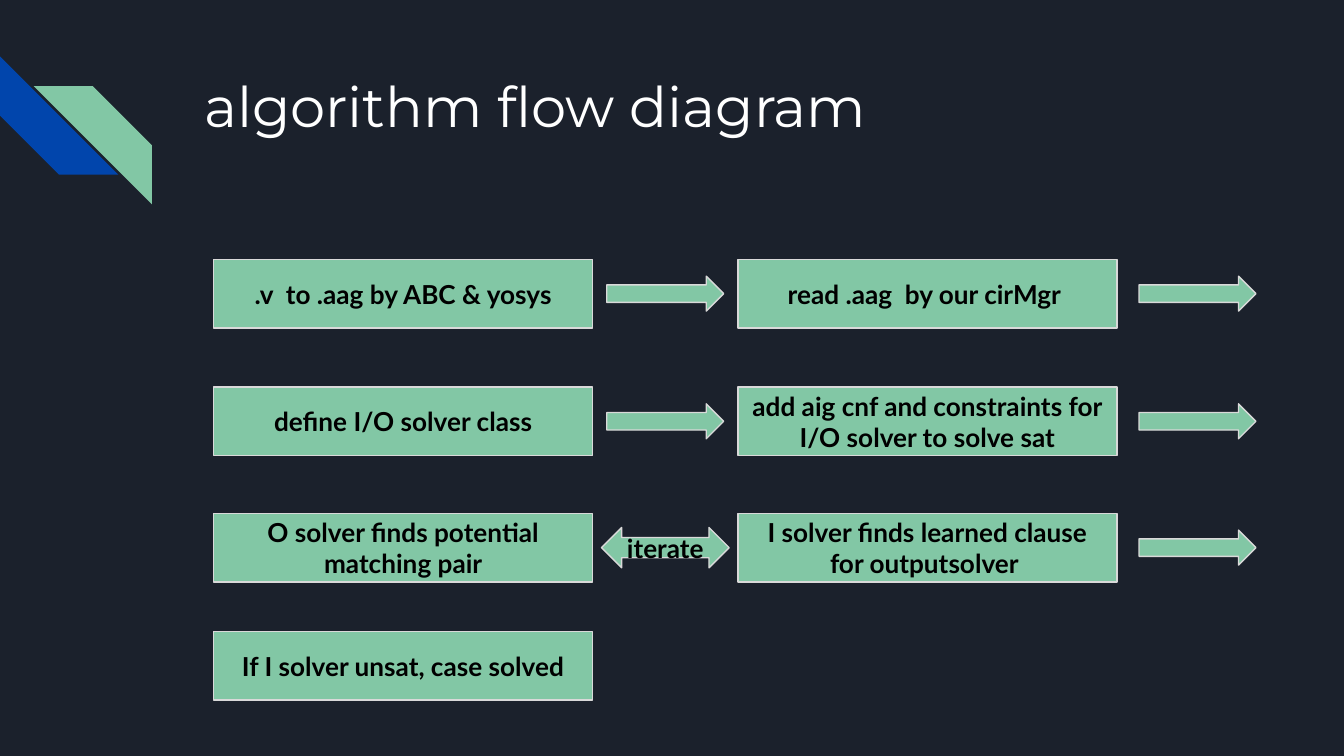
import pptx
import pptx.util
import pptx.dml.color
import pptx.enum.shapes
import pptx.enum.text

KIND = pptx.enum.shapes.MSO_SHAPE
ALIGN = pptx.enum.text.PP_ALIGN
ANCHOR = pptx.enum.text.MSO_ANCHOR
INCH = pptx.util.Inches

TITLE = "algorithm flow diagram"
# Each row: top of its boxes, then left step, link, right step, onward link
ROWS = [
    (1.93, ".v  to .aag by ABC & yosys", "next", "read .aag  by our cirMgr ", "next"),
    (2.88, "define I/O solver class", "next",
     "add aig cnf and constraints for I/O solver to solve sat", "next"),
    (3.82, "O solver finds potential matching pair", "iterate",
     "I solver finds learned clause for outputsolver ", "next"),
    (4.70, "If I solver unsat, case solved"),
]
STRIPES = [(0, 0.42, 270, "0145AC"), (0.25, 0.64, 90, "82C7A5")]

NIGHT, MINT, EDGE = "1B212C", "82C7A5", "D9D9D9"
WIDE = INCH(10)
HIGH = WIDE * 9 // 16
LEFT, PITCH = 1.59, 3.9       # first column, and step from pair to pair
BOX_W, BOX_H = 2.82, 0.51
LINKS = {                     # kind, width, height, label
    "next": (KIND.RIGHT_ARROW, 0.87, 0.26, ""),
    "iterate": (KIND.LEFT_RIGHT_ARROW, 0.95, 0.3, "iterate"),
}
LINK_MID = [4.95, 8.91]       # centre of each link column

LABEL = {"size": pptx.util.Pt(14), "name": "Lato", "bold": True}
HEAD = {"size": pptx.util.Pt(30), "name": "Montserrat", "bold": False}


def paint(color, code):
    color.rgb = pptx.dml.color.RGBColor.from_string(code)


def style(obj, form):
    for key, value in form.items():
        setattr(obj, key, value)


def write(shape, text, form, code, align, anchor):
    frame = shape.text_frame
    style(frame, {"word_wrap": True, "vertical_anchor": anchor,
                  "auto_size": pptx.enum.text.MSO_AUTO_SIZE.NONE})
    style(frame, {"margin_" + side: INCH(0.1)
                  for side in ("left", "right", "top", "bottom")})
    para = frame.paragraphs[0]
    para.alignment = align
    run = para.add_run()
    run.text = text
    style(run.font, form)
    paint(run.font.color, code)


def draw(slide, kind, spot, fill, line=None):
    shape = slide.shapes.add_shape(kind, *map(INCH, spot))
    shape.shadow.inherit = False
    shape.fill.solid()
    paint(shape.fill.fore_color, fill)
    if line:
        paint(shape.line.color, line)
        shape.line.width = pptx.util.Pt(0.75)
    else:
        shape.line.fill.background()
    return shape


def node(slide, kind, spot, text):
    shape = draw(slide, kind, spot, MINT, EDGE)
    if text:
        write(shape, text, LABEL, "000000", ALIGN.CENTER, ANCHOR.MIDDLE)


def main():
    deck = pptx.Presentation()
    style(deck, {"slide_width": WIDE, "slide_height": HIGH})
    slide = deck.slides.add_slide(deck.slide_layouts[5])
    slide.background.fill.solid()
    paint(slide.background.fill.fore_color, NIGHT)

    for x, y, turn, fill in STRIPES:
        draw(slide, KIND.DIAGONAL_STRIPE, (x, y, 0.88, 0.88), fill).rotation = turn

    title = slide.shapes.title
    style(title, {"left": INCH(1.42), "top": INCH(0.43),
                  "width": INCH(7.7), "height": INCH(1)})
    write(title, TITLE, HEAD, "FFFFFF", ALIGN.LEFT, ANCHOR.TOP)

    for top, *parts in ROWS:
        for col, text in enumerate(parts[::2]):
            node(slide, KIND.RECTANGLE, (LEFT + col * PITCH, top, BOX_W, BOX_H), text)
        for mid, name in zip(LINK_MID, parts[1::2]):
            kind, wide, high, text = LINKS[name]
            spot = (mid - wide / 2, top + (BOX_H - high) / 2, wide, high)
            node(slide, kind, spot, text)

    deck.save("out.pptx")


if __name__ == "__main__":
    main()
